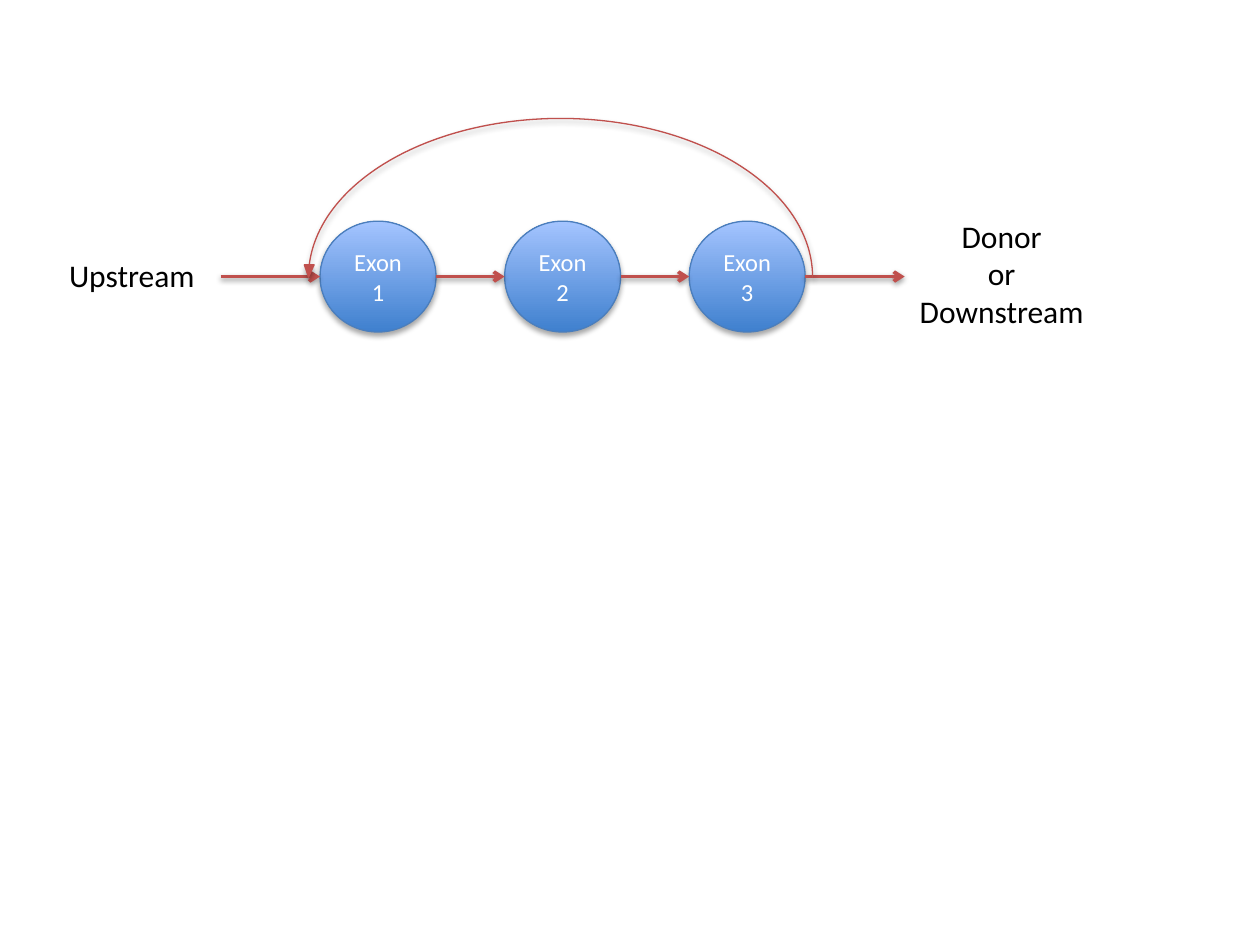
from lxml import etree
from pptx import Presentation
from pptx import util as u
from pptx.dml.color import RGBColor
from pptx.enum import shapes, text
from pptx.oxml.ns import qn

W, H = 10, 7.5
FONT = "Calibri"
RED, BLUE = "C0504D", "4B7EBC"
GRADIENT = ["3F80CE", "A4C4FF"]
EXONS = ["Exon 1", "Exon 2", "Exon 3"]
LABELS = [
    (["Upstream"], (0.45, 1.98, 1.3, 0.4), False, text.PP_ALIGN.LEFT),
    (["Donor", "or", "Downstream"], (7, 1.67, 1.9, 1.01), True, text.PP_ALIGN.CENTER),
]
LOOP_BOX = (2.41, 0.94, 4.04, 1.26)
LOOP_ADJUST = [0, 0.062, 0.078]
SHAPE_SHADOW = {"alpha": 35, "blur": 3.15, "dist": 1.81}
LINE_SHADOW = {"alpha": 38, "blur": 3.15, "dist": 1.57}

LEFT, PITCH, AXIS = 2.54, 1.465, 2.195
NODE_W, NODE_H, END_ARROW = 0.92, 0.88, 0.79


def rgb(value):
    return RGBColor.from_string(value)


def inches(box):
    return [u.Inches(v) for v in box]


def add_shadow(spPr, alpha, blur, dist):
    effects = spPr.find(qn("a:effectLst"))
    if effects is None:
        effects = etree.SubElement(spPr, qn("a:effectLst"))
    shadow = etree.SubElement(effects, qn("a:outerShdw"), blurRad=str(u.Pt(blur)),
                              dist=str(u.Pt(dist)), dir="5400000", rotWithShape="0")
    color = etree.SubElement(shadow, qn("a:srgbClr"), val="000000")
    etree.SubElement(color, qn("a:alpha"), val=str(alpha * 1000))


def add_outlined(slide, kind, box, line):
    sp = slide.shapes.add_shape(kind, *inches(box))
    sp.line.color.rgb = rgb(line)
    sp.line.width = u.Pt(0.75)
    sp.shadow.inherit = False
    add_shadow(sp._element.spPr, **SHAPE_SHADOW)
    return sp


def write(tf, lines, size, color, align):
    for i, line in enumerate(lines):
        p = tf.add_paragraph() if i else tf.paragraphs[0]
        p.alignment = align
        r = p.add_run()
        r.text = line
        r.font.color.rgb = rgb(color)
        for name, value in {"size": u.Pt(size), "name": FONT}.items():
            setattr(r.font, name, value)


def add_exon(slide, name, left):
    sp = add_outlined(slide, shapes.MSO_SHAPE.OVAL,
                      (left, AXIS - NODE_H / 2, NODE_W, NODE_H), BLUE)
    sp.fill.gradient()
    sp.fill.gradient_angle = 90
    for stop, color, position in zip(sp.fill.gradient_stops, GRADIENT, (0, 1)):
        stop.color.rgb = rgb(color)
        stop.position = position
    sp.text_frame.vertical_anchor = text.MSO_ANCHOR.MIDDLE
    write(sp.text_frame, [name], 14, "FFFFFF", text.PP_ALIGN.CENTER)


def add_arrow(slide, start, end):
    cxn = slide.shapes.add_connector(shapes.MSO_CONNECTOR.STRAIGHT,
                                     *inches((start, AXIS, end, AXIS)))
    cxn.line.color.rgb = rgb(RED)
    cxn.line.width = u.Pt(2)
    etree.SubElement(cxn.line._get_or_add_ln(), qn("a:tailEnd"), type="arrow")
    add_shadow(cxn._element.spPr, **LINE_SHADOW)


def add_label(slide, lines, box, wrap, align):
    tf = slide.shapes.add_textbox(*inches(box)).text_frame
    tf.word_wrap = wrap
    tf.auto_size = text.MSO_AUTO_SIZE.SHAPE_TO_FIT_TEXT
    write(tf, lines, 18, "000000", align)


def add_loop(slide):
    sp = add_outlined(slide, shapes.MSO_SHAPE.CURVED_DOWN_ARROW, LOOP_BOX, RED)
    sp.fill.solid()
    sp.fill.fore_color.rgb = rgb(RED)
    for i, value in enumerate(LOOP_ADJUST):
        sp.adjustments[i] = value
    sp._element.spPr.find(qn("a:xfrm")).set("flipH", "1")


def main():
    prs = Presentation()
    prs.slide_width, prs.slide_height = inches((W, H))
    slide = prs.slides.add_slide(prs.slide_layouts[6])
    lefts = [LEFT + i * PITCH for i in range(len(EXONS))]
    for name, left in zip(EXONS, lefts):
        add_exon(slide, name, left)
    rights = [left + NODE_W for left in lefts]
    starts = [LEFT - END_ARROW] + rights
    ends = lefts + [rights[-1] + END_ARROW]
    for start, end in zip(starts, ends):
        add_arrow(slide, start, end)
    for label in LABELS:
        add_label(slide, *label)
    add_loop(slide)
    prs.save("out.pptx")


if __name__ == "__main__":
    main()
